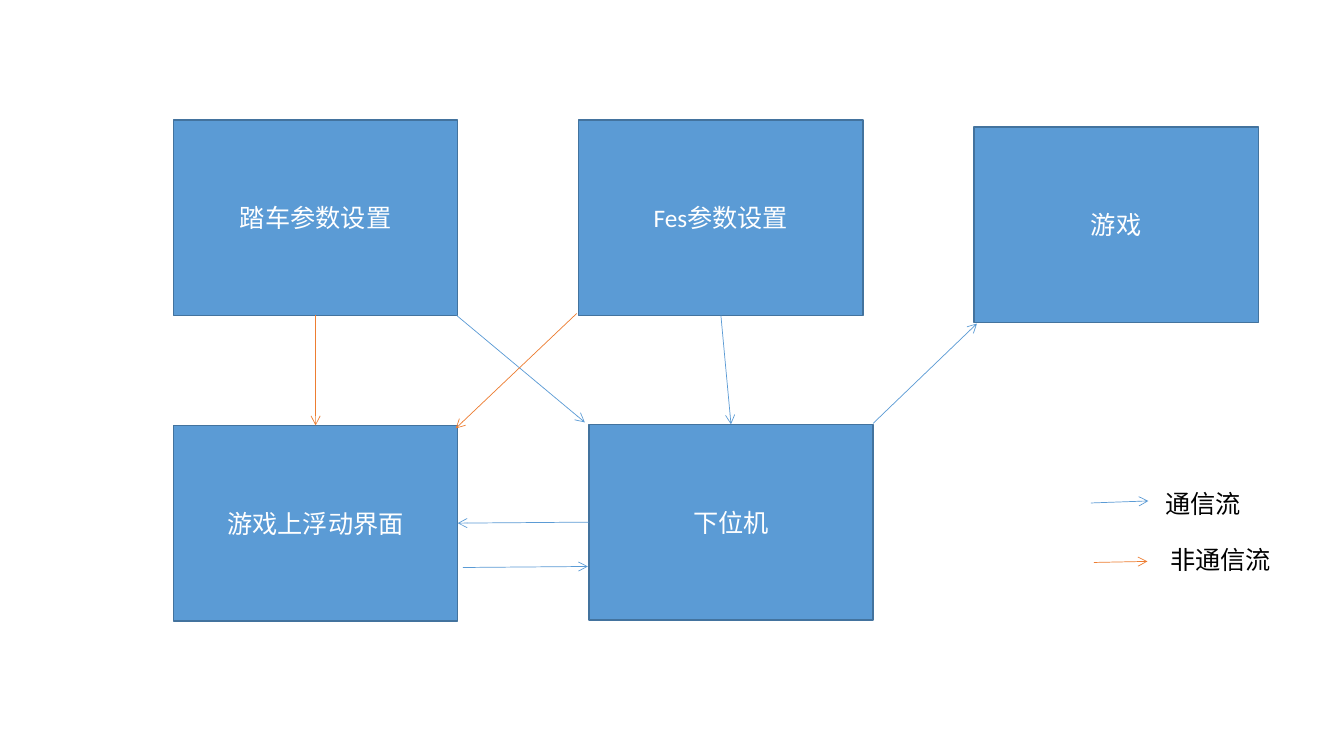
"""Builds a slide showing the communication flows between game, settings and controller."""
import lxml.etree
import pptx
import pptx.dml.color
import pptx.enum.shapes
import pptx.enum.text
import pptx.oxml.ns
import pptx.util

Inches = pptx.util.Inches
BLUE, BORDER, ORANGE = "5B9BD5", "43739E", "ED7D31"
BOX_WIDTH, BOX_HEIGHT = 2.82, 1.94


def color(hex_code):
    return pptx.dml.color.RGBColor.from_string(hex_code)


def write(frame, text, hex_code):
    paragraph = frame.paragraphs[0]
    paragraph.text = text
    paragraph.font.name = "Calibri"
    paragraph.font.size = pptx.util.Pt(18)
    paragraph.font.color.rgb = color(hex_code)
    return paragraph


deck = pptx.Presentation()
deck.slide_width, deck.slide_height = Inches(13.33), Inches(7.5)
slide = deck.slides.add_slide(deck.slide_layouts[6])

modules = [
    ("踏车参数设置", 1.72, 1.19),
    ("Fes参数设置", 5.74, 1.19),
    ("游戏", 9.66, 1.26),
    ("游戏上浮动界面", 1.72, 4.22),
    ("下位机", 5.84, 4.21),
]
for label, left, top in modules:
    module = slide.shapes.add_shape(
        pptx.enum.shapes.MSO_SHAPE.RECTANGLE,
        Inches(left), Inches(top), Inches(BOX_WIDTH), Inches(BOX_HEIGHT))
    module.shadow.inherit = False
    module.fill.solid()
    module.fill.fore_color.rgb = color(BLUE)
    module.line.color.rgb = color(BORDER)
    module.line.width = pptx.util.Pt(1)
    module.text_frame.vertical_anchor = pptx.enum.text.MSO_ANCHOR.MIDDLE
    caption = write(module.text_frame, label, "FFFFFF")
    caption.alignment = pptx.enum.text.PP_ALIGN.CENTER

flows = [
    (4.53, 3.13, 5.8, 4.19, BLUE),
    (5.84, 5.18, 4.54, 5.19, BLUE),
    (7.15, 3.13, 7.25, 4.21, BLUE),
    (5.72, 3.11, 4.52, 4.25, ORANGE),
    (4.59, 5.63, 5.83, 5.62, BLUE),
    (8.66, 4.2, 9.69, 3.21, BLUE),
    (3.13, 3.13, 3.13, 4.22, ORANGE),
    (10.82, 4.99, 11.39, 4.97, BLUE),
    (10.85, 5.58, 11.38, 5.57, ORANGE),
]
for *ends, flow_color in flows:
    flow = slide.shapes.add_connector(
        pptx.enum.shapes.MSO_CONNECTOR.STRAIGHT, *map(Inches, ends))
    flow.line.color.rgb = color(flow_color)
    flow.line.width = pptx.util.Pt(0.5)
    lxml.etree.SubElement(
        flow.line._get_or_add_ln(), pptx.oxml.ns.qn("a:tailEnd"), type="arrow")
    lxml.etree.SubElement(flow._element.spPr, pptx.oxml.ns.qn("a:effectLst"))

legend = [("通信流", 11.46, 4.8, 1.1), ("非通信流", 11.51, 5.35, 1.46)]
for label, left, top, width in legend:
    entry = slide.shapes.add_textbox(
        Inches(left), Inches(top), Inches(width), Inches(0.4))
    entry.text_frame.word_wrap = True
    entry.text_frame.auto_size = pptx.enum.text.MSO_AUTO_SIZE.SHAPE_TO_FIT_TEXT
    write(entry.text_frame, label, "000000")

deck.save("out.pptx")
